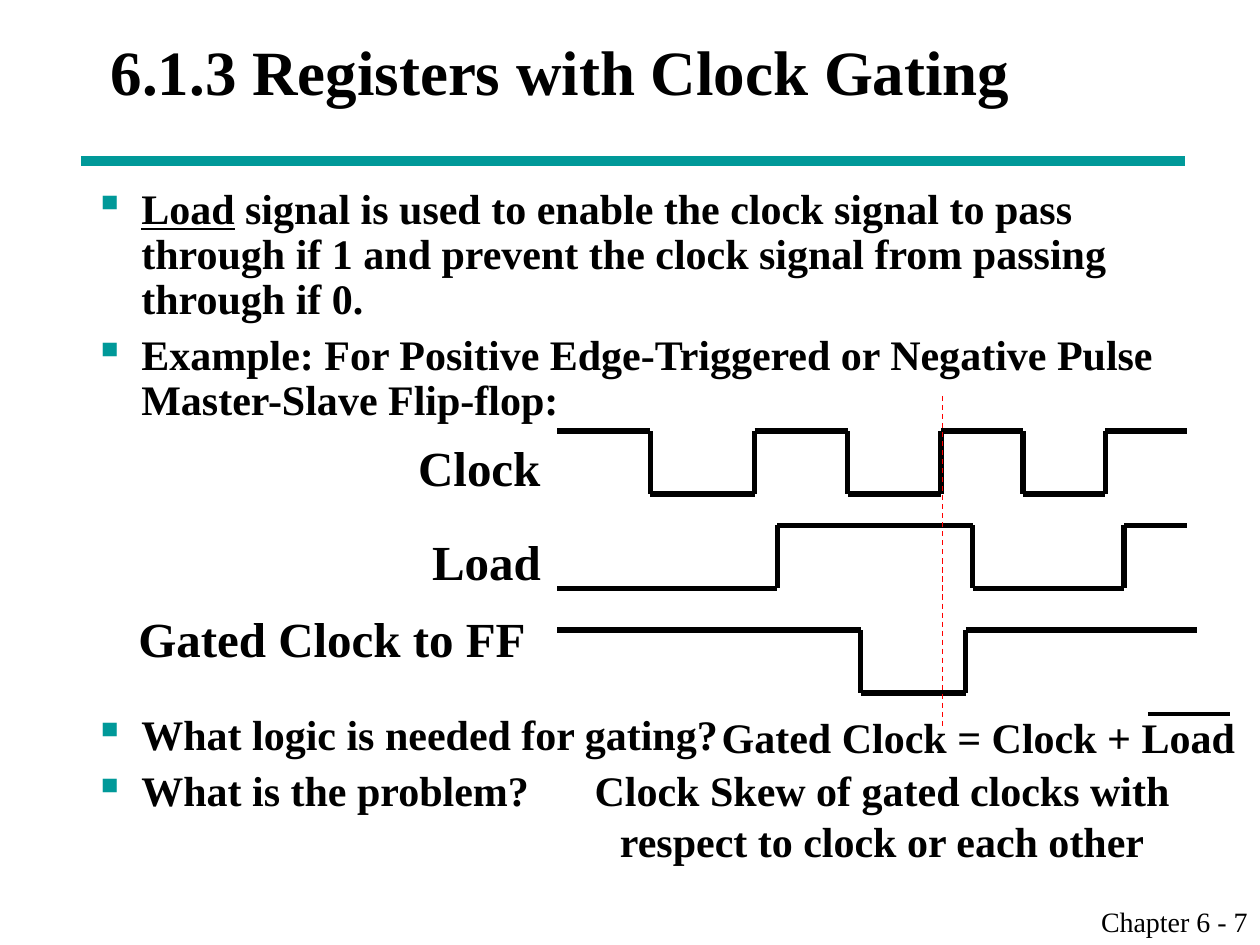
from itertools import pairwise

from lxml.etree import SubElement
from pptx import Presentation
from pptx.dml.color import RGBColor
from pptx.enum.dml import MSO_LINE_DASH_STYLE as Dash
from pptx.enum.shapes import MSO_CONNECTOR as Connector
from pptx.enum.text import MSO_ANCHOR as Anchor, PP_ALIGN as Align
from pptx.oxml.ns import qn
from pptx.util import Cm, Pt

BLACK, TEAL, RED = "000000", "009999", "FF0000"
FONT = "Times New Roman"
AMPLITUDE = 1.27
INDENT = 0.95

TITLE = "6.1.3 Registers with Clock Gating"
INTRO = [
    "Load signal is used to enable the clock signal to pass through if 1 "
    "and prevent the clock signal from passing through if 0.",
    "Example: For Positive Edge-Triggered or Negative Pulse Master-Slave Flip-flop:",
]
QUESTIONS = ["What logic is needed for gating?", "What is the problem?"]
GATING = "Gated Clock = Clock + Load"
PROBLEM = "Clock Skew of gated clocks with respect to clock or each other"
FOOTER = "Chapter 6 - 7"

SIGNALS = [
    {"label": "Clock", "label_box": (8.18, 8.69, 3.1, 1.45), "high_y": 8.69, "starts_high": True,
     "edges": [11.23, 13.11, 15.21, 17.09, 18.97, 20.62, 22.28, 23.93]},
    {"label": "Load", "label_box": (8.46, 10.59, 2.8, 1.45), "high_y": 10.59, "starts_high": False,
     "edges": [11.23, 15.67, 19.61, 22.66, 23.93]},
    {"label": "Gated Clock to FF", "label_box": (2.54, 12.14, 8.79, 1.45), "high_y": 12.7,
     "starts_high": True, "edges": [11.23, 17.35, 19.47, 24.13]},
]


def color(hex_string):
    return RGBColor.from_string(hex_string)


def add_bullet(paragraph):
    properties = paragraph._p.get_or_add_pPr()
    properties.set("marL", str(Cm(INDENT)))
    properties.set("indent", str(-Cm(INDENT)))
    bullet_color = SubElement(properties, qn("a:buClr"))
    SubElement(bullet_color, qn("a:srgbClr"), val=TEAL)
    SubElement(properties, qn("a:buChar"), char="▪")


def add_text(slide, paragraphs, box, size=24, bold=True, align=Align.LEFT,
             anchor=Anchor.TOP, bulleted=False, underlined=""):
    frame = slide.shapes.add_textbox(*map(Cm, box)).text_frame
    frame.word_wrap = True
    frame.vertical_anchor = anchor
    for index, content in enumerate(paragraphs):
        paragraph = frame.add_paragraph() if index else frame.paragraphs[0]
        paragraph.alignment = align
        if bulleted:
            paragraph.line_spacing = 0.9
            paragraph.space_before = Pt(6 if index else 0)
            add_bullet(paragraph)
        before, marked, after = content.partition(underlined) if underlined else (content, "", "")
        for part in filter(None, (before, marked, after)):
            run = paragraph.add_run()
            run.text = part
            run.font.name = FONT
            run.font.size = Pt(size)
            run.font.bold = bold
            run.font.color.rgb = color(BLACK)
            if part == marked:
                run.font.underline = True


def add_line(slide, start, end, width=3, line_color=BLACK, dash=None):
    connector = slide.shapes.add_connector(Connector.STRAIGHT, *map(Cm, (*start, *end)))
    connector.line.width = Pt(width)
    connector.line.color.rgb = color(line_color)
    if dash:
        connector.line.dash_style = dash
    SubElement(connector._element.spPr, qn("a:effectLst"))


def add_waveform(slide, signal):
    levels = [signal["high_y"], signal["high_y"] + AMPLITUDE]
    if not signal["starts_high"]:
        levels.reverse()
    corners = []
    for index, (left, right) in enumerate(pairwise(signal["edges"])):
        y = levels[index % 2]
        corners += [(left, y), (right, y)]
    for start, end in pairwise(corners):
        add_line(slide, start, end)


def main():
    deck = Presentation()
    deck.slide_width, deck.slide_height = Cm(25.4), Cm(19.05)
    slide = deck.slides.add_slide(deck.slide_layouts[6])

    add_line(slide, (1.63, 3.25), (23.88, 3.25), width=6, line_color=TEAL)
    add_text(slide, [FOOTER], (19.25, 18.11, 6.15, 0.94), size=16, bold=False, align=Align.RIGHT)
    add_text(slide, [TITLE], (1.98, 0, 21.59, 2.84), size=36, anchor=Anchor.MIDDLE)
    add_text(slide, INTRO, (1.65, 3.66, 23.19, 5), bulleted=True, underlined="Load")
    add_text(slide, QUESTIONS, (1.65, 14.28, 13.5, 2.5), bulleted=True)

    for signal in SIGNALS:
        add_waveform(slide, signal)
        add_text(slide, [signal["label"]], signal["label_box"], size=28)

    add_text(slide, [PROBLEM], (10.8, 15.29, 13.97, 2.29), align=Align.CENTER)
    add_line(slide, (23.14, 14.4), (24.79, 14.4), width=2.25)
    add_text(slide, [GATING], (14.3, 14.22, 11, 1.27))
    add_line(slide, (19, 7.98), (19, 14.71), width=0.75, line_color=RED, dash=Dash.DASH)

    deck.save("out.pptx")


if __name__ == "__main__":
    main()
